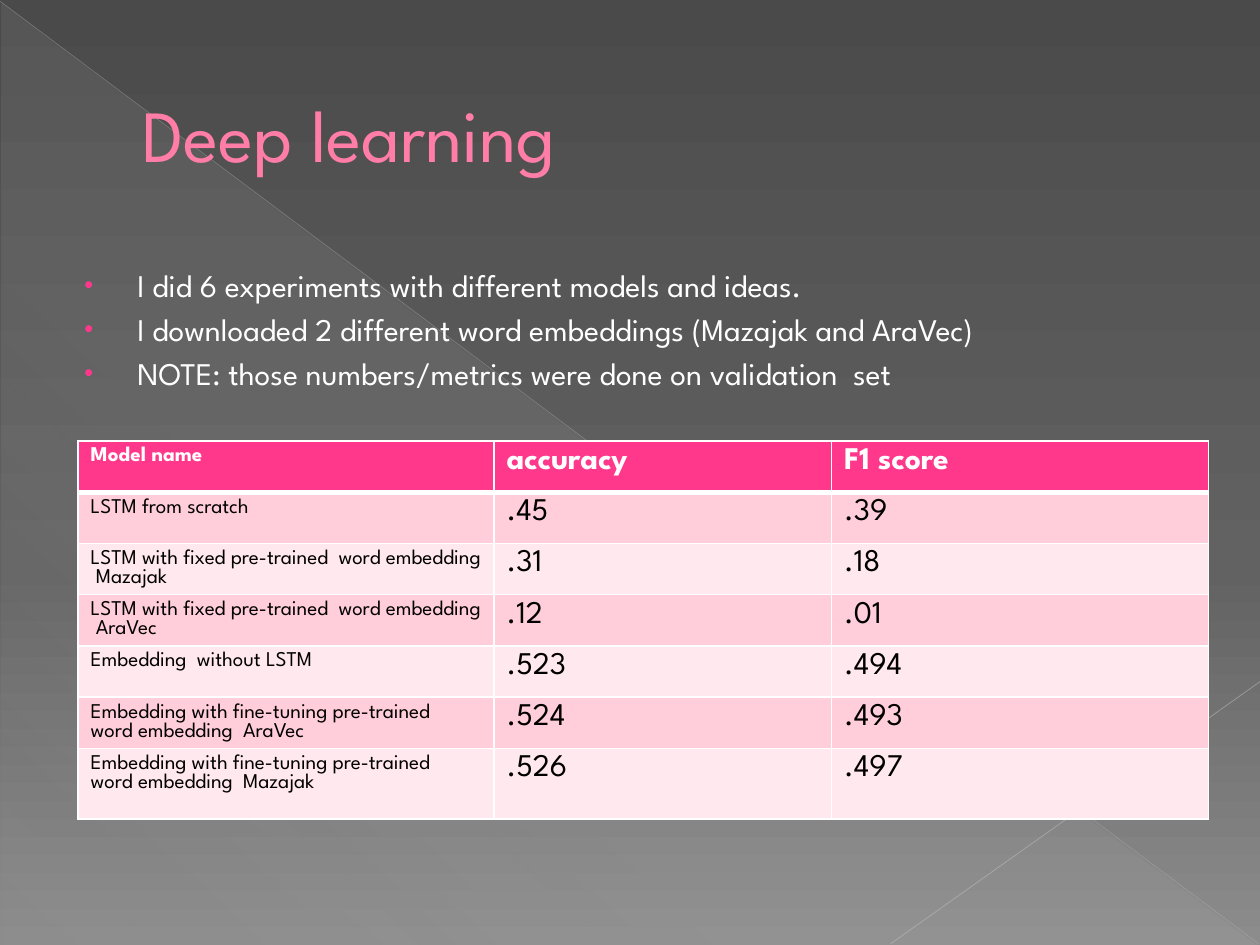
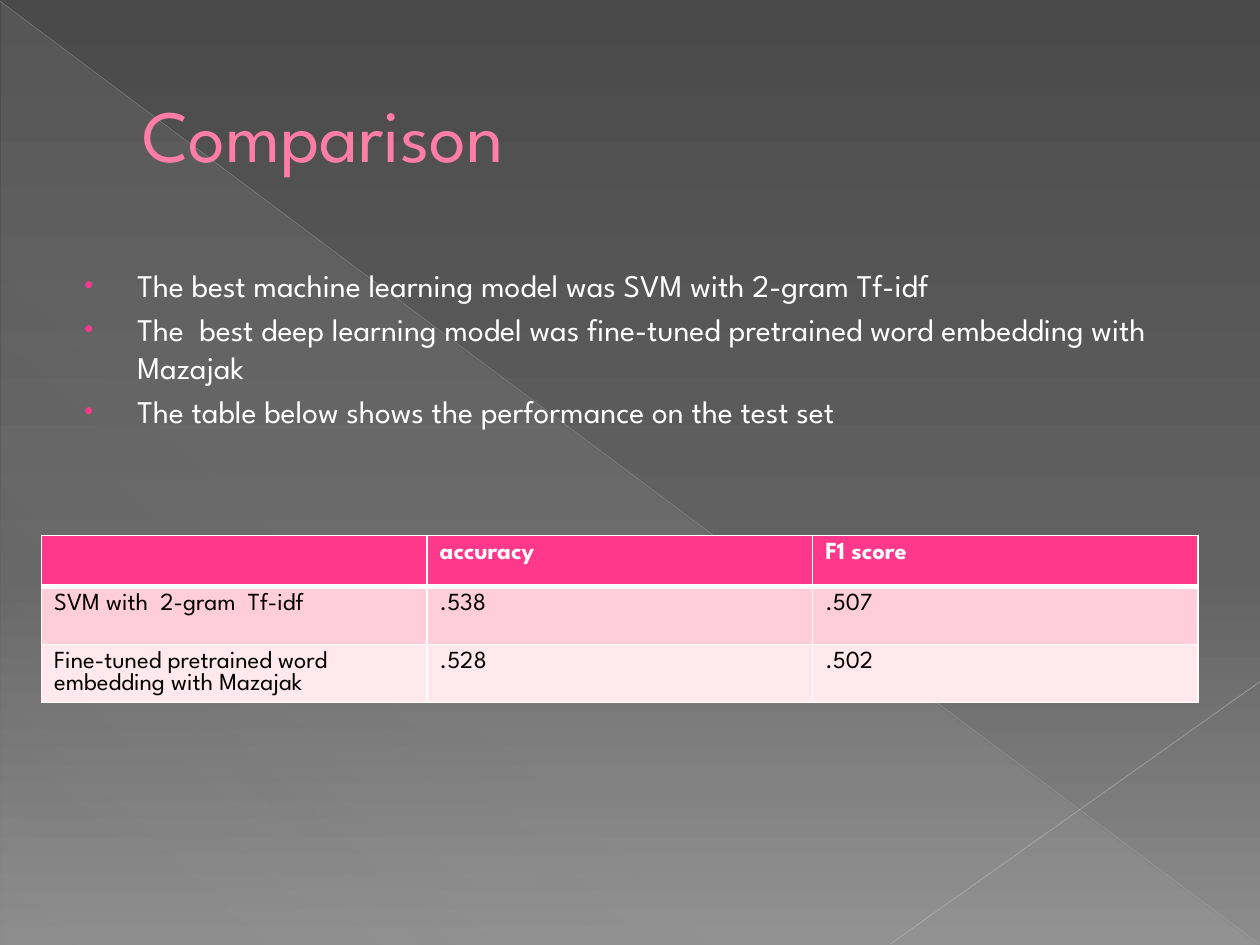
from lxml import etree
from pptx import Presentation
from pptx.dml.color import RGBColor
from pptx.enum.shapes import MSO_CONNECTOR, MSO_SHAPE
from pptx.enum.text import MSO_ANCHOR, MSO_AUTO_SIZE, PP_ALIGN
from pptx.oxml.ns import qn
from pptx.util import Inches, Pt

STRAIGHT = MSO_CONNECTOR.STRAIGHT
RIGHT_TRIANGLE = MSO_SHAPE.RIGHT_TRIANGLE
MIDDLE = MSO_ANCHOR.MIDDLE
NO_AUTOFIT = MSO_AUTO_SIZE.NONE
LEFT = PP_ALIGN.LEFT

FONT = "League Spartan"
WHITE = RGBColor(0xFF, 0xFF, 0xFF)
BLACK = RGBColor(0x00, 0x00, 0x00)
PINK = RGBColor(0xFF, 0x38, 0x8C)
TITLE_PINK = RGBColor(0xFF, 0x7D, 0xA7)
TITLE_EDGE = RGBColor(0xB1, 0x27, 0x61)
ROW_DARK = RGBColor(0xFF, 0xCE, 0xDA)
ROW_LIGHT = RGBColor(0xFF, 0xE8, 0xEE)
GRAY_TOP = RGBColor(0x4A, 0x4A, 0x4A)
GRAY_MIDDLE = RGBColor(0x62, 0x62, 0x62)
GRAY_BOTTOM = RGBColor(0x8C, 0x8C, 0x8C)
VEIL = RGBColor(0xD2, 0xD2, 0xD2)
LONG_RAY = RGBColor(0xBF, 0xBF, 0xBF)
SHORT_RAY = RGBColor(0xC6, 0xC6, 0xC6)


# XML helpers
def add_node(parent, tag, **attributes):
    node = etree.SubElement(parent, qn(tag))
    for key, value in attributes.items():
        node.set(key, str(value))
    return node


def add_color(parent, color, alpha=100):
    node = add_node(parent, "a:srgbClr", val=color)
    if alpha < 100:
        add_node(node, "a:alpha", val=alpha * 1000)


def make_gradient(properties, stops, angle):
    """Replace the solid fill by a gradient of (position, colour, opacity) stops."""
    solid = properties.find(qn("a:solidFill"))
    gradient = etree.Element(qn("a:gradFill"), rotWithShape="1")
    stop_list = add_node(gradient, "a:gsLst")
    for position, color, alpha in stops:
        add_color(add_node(stop_list, "a:gs", pos=position * 1000), color, alpha)
    add_node(gradient, "a:lin", ang=angle * 60000, scaled=0)
    properties.replace(solid, gradient)


def write(paragraph, text, size=18, color=WHITE, bold=False):
    run = paragraph.add_run()
    run.text = text
    run.font.name = FONT
    run.font.size = Pt(size)
    run.font.bold = bold
    run.font.color.rgb = color
    return run


# Shared backdrop
def set_background(master):
    master.background.fill.solid()
    make_gradient(master.element.find(".//" + qn("p:bgPr")),
                  [(0, GRAY_TOP, 100), (60, GRAY_MIDDLE, 100),
                   (100, GRAY_BOTTOM, 100)], 90)


def add_ray(slide, start, end, color, width, alpha):
    ray = slide.shapes.add_connector(STRAIGHT, *map(Inches, start + end))
    ray.line.color.rgb = color
    ray.line.width = Pt(width)
    properties = ray.element.spPr
    add_node(properties.find(".//" + qn("a:srgbClr")), "a:alpha", val=alpha * 1000)
    add_node(properties, "a:effectLst")
    return ray


def add_backdrop(slide):
    veil = slide.shapes.add_shape(RIGHT_TRIANGLE, Inches(0.01), Inches(0.02),
                                  Inches(9.98), Inches(7.48))
    veil.shadow.inherit = False
    veil.line.fill.background()
    veil.fill.solid()
    make_gradient(veil.element.spPr,
                  [(0, VEIL, 10), (70, VEIL, 8), (100, VEIL, 1)], 133)
    long_ray = add_ray(slide, (0, 0.01), (9.99, 7.49), LONG_RAY, 0.39, 35)
    short_ray = add_ray(slide, (10, 5.41), (7.07, 7.49), SHORT_RAY, 0.47, 45)
    # Send behind the placeholders
    for index, part in enumerate((veil, long_ray, short_ray), start=2):
        slide.shapes.element.insert(index, part.element)


# Title and list
def place(placeholder, left, top, width, height):
    placeholder.left, placeholder.top = Inches(left), Inches(top)
    placeholder.width, placeholder.height = Inches(width), Inches(height)
    placeholder.text_frame.auto_size = NO_AUTOFIT
    return placeholder.text_frame


def set_indent(paragraph, margin, first_line=0):
    properties = paragraph._p.get_or_add_pPr()
    properties.set("marL", str(Inches(margin)))
    properties.set("indent", str(Inches(first_line)))
    return properties


def fill_title(slide, text):
    frame = place(slide.shapes.title, 0.5, 0.29, 9, 1.53)
    frame.vertical_anchor = MIDDLE
    heading = frame.paragraphs[0]
    heading.alignment = LEFT
    set_indent(heading, 0.53)
    run = write(heading, text, size=42, color=TITLE_PINK)
    edge = etree.Element(qn("a:ln"), w=str(Pt(0.5)))
    add_color(add_node(edge, "a:solidFill"), TITLE_EDGE)
    run.font._element.insert(0, edge)


def fill_list(slide, items):
    frame = place(slide.placeholders[1], 0.5, 2.06, 9, 5)
    for index, item in enumerate(items):
        point = frame.add_paragraph() if index else frame.paragraphs[0]
        point.space_before = Pt(3.6)
        properties = set_indent(point, 0.49, -0.42)
        add_color(add_node(properties, "a:buClr"), PINK)
        add_node(properties, "a:buSzPct", val=80000)
        add_node(properties, "a:buFont", typeface="Arial")
        add_node(properties, "a:buChar", char="•")
        write(point, item)


# Results table
def set_borders(cell, bottom):
    properties = cell._tc.get_or_add_tcPr()
    sides = (("a:lnL", 1), ("a:lnR", 1), ("a:lnT", 1), ("a:lnB", bottom))
    for index, (side, width) in enumerate(sides):
        border = etree.Element(qn(side), w=str(Pt(width)))
        add_color(add_node(border, "a:solidFill"), WHITE)
        properties.insert(index, border)


def add_results(slide, left, top, widths, heights, rows, name_size, score_size):
    table = slide.shapes.add_table(
        len(rows), len(widths), Inches(left), Inches(top),
        Inches(sum(widths)), Inches(sum(heights))).table
    for column, width in zip(table.columns, widths):
        column.width = Inches(width)
    for r, (row, height) in enumerate(zip(rows, heights)):
        table.rows[r].height = Inches(height)
        header = r == 0
        band = PINK if header else ROW_DARK if r % 2 else ROW_LIGHT
        for c, text in enumerate(row):
            cell = table.cell(r, c)
            cell.fill.solid()
            cell.fill.fore_color.rgb = band
            set_borders(cell, bottom=3 if header else 1)
            if text:
                write(cell.text_frame.paragraphs[0], text,
                      size=score_size if c else name_size,
                      color=WHITE if header else BLACK, bold=header)


def add_content_slide(prs, title, items):
    slide = prs.slides.add_slide(prs.slide_layouts[1])
    add_backdrop(slide)
    fill_title(slide, title)
    fill_list(slide, items)
    return slide


def main():
    prs = Presentation()
    prs.slide_width, prs.slide_height = Inches(10), Inches(7.5)
    set_background(prs.slide_master)

    # Deep learning experiments
    experiments = add_content_slide(prs, "Deep learning", [
        "I did 6 experiments with different models and ideas.",
        "I downloaded 2 different word embeddings (Mazajak and AraVec)",
        "NOTE: those numbers/metrics were done on validation  set",
    ])
    add_results(experiments, 0.62, 3.5, [3.3, 2.68, 2.99], [2.44 / 6] * 6 + [0.56], [
        ("Model name", "accuracy", "F1 score"),
        ("LSTM from scratch", ".45", ".39"),
        ("LSTM with fixed pre-trained  word embedding  Mazajak", ".31", ".18"),
        ("LSTM with fixed pre-trained  word embedding  AraVec", ".12", ".01"),
        ("Embedding  without LSTM", ".523", ".494"),
        ("Embedding with fine-tuning pre-trained  word embedding  AraVec",
         ".524", ".493"),
        ("Embedding with fine-tuning pre-trained  word embedding  Mazajak",
         ".526", ".497"),
    ], name_size=12, score_size=18)

    # Best models on the test set
    comparison = add_content_slide(prs, "Comparison", [
        "The best machine learning model was SVM with 2-gram Tf-idf",
        "The  best deep learning model was fine-tuned pretrained word embedding"
        " with Mazajak",
        "The table below shows the performance on the test set",
    ])
    add_results(comparison, 0.33, 4.25, [3.06] * 3, [0.4, 0.46, 0.46], [
        ("", "accuracy", "F1 score"),
        ("SVM with  2-gram  Tf-idf", ".538", ".507"),
        ("Fine-tuned pretrained word embedding with Mazajak", ".528", ".502"),
    ], name_size=14, score_size=14)

    prs.save("out.pptx")


if __name__ == "__main__":
    main()
